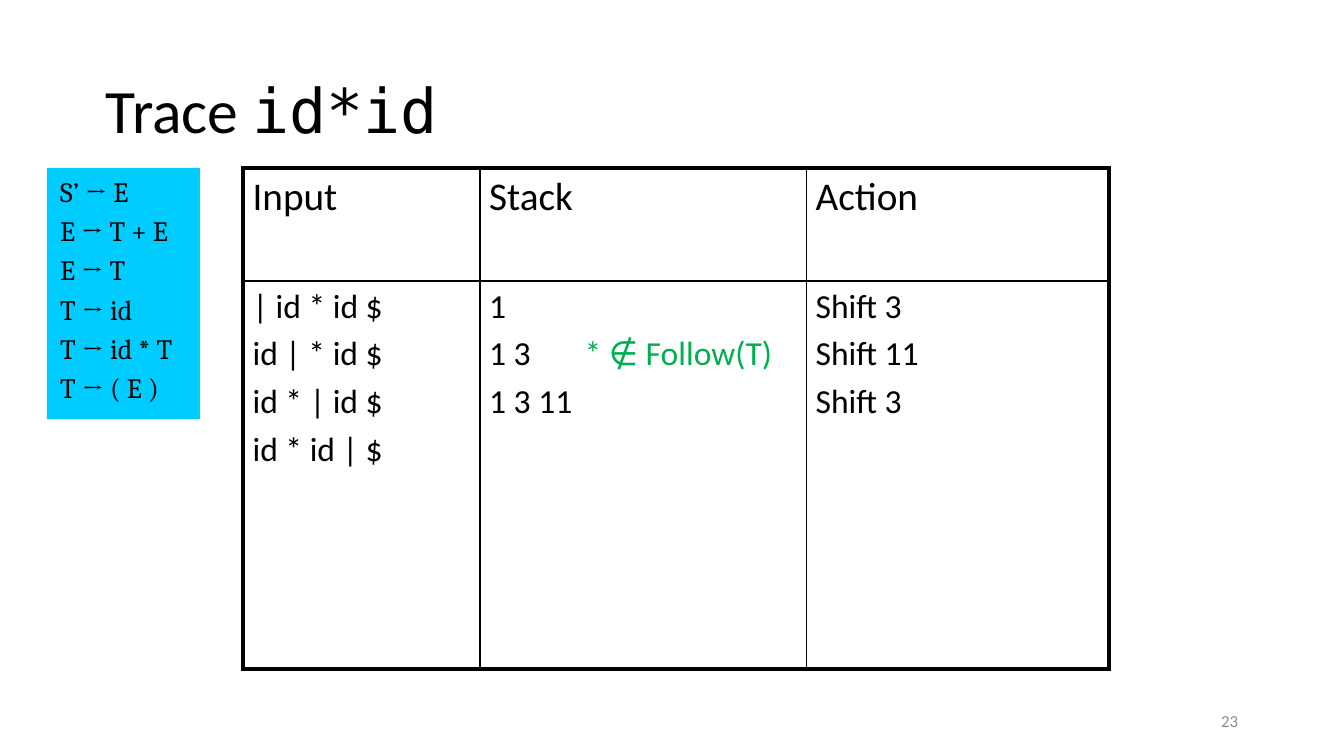
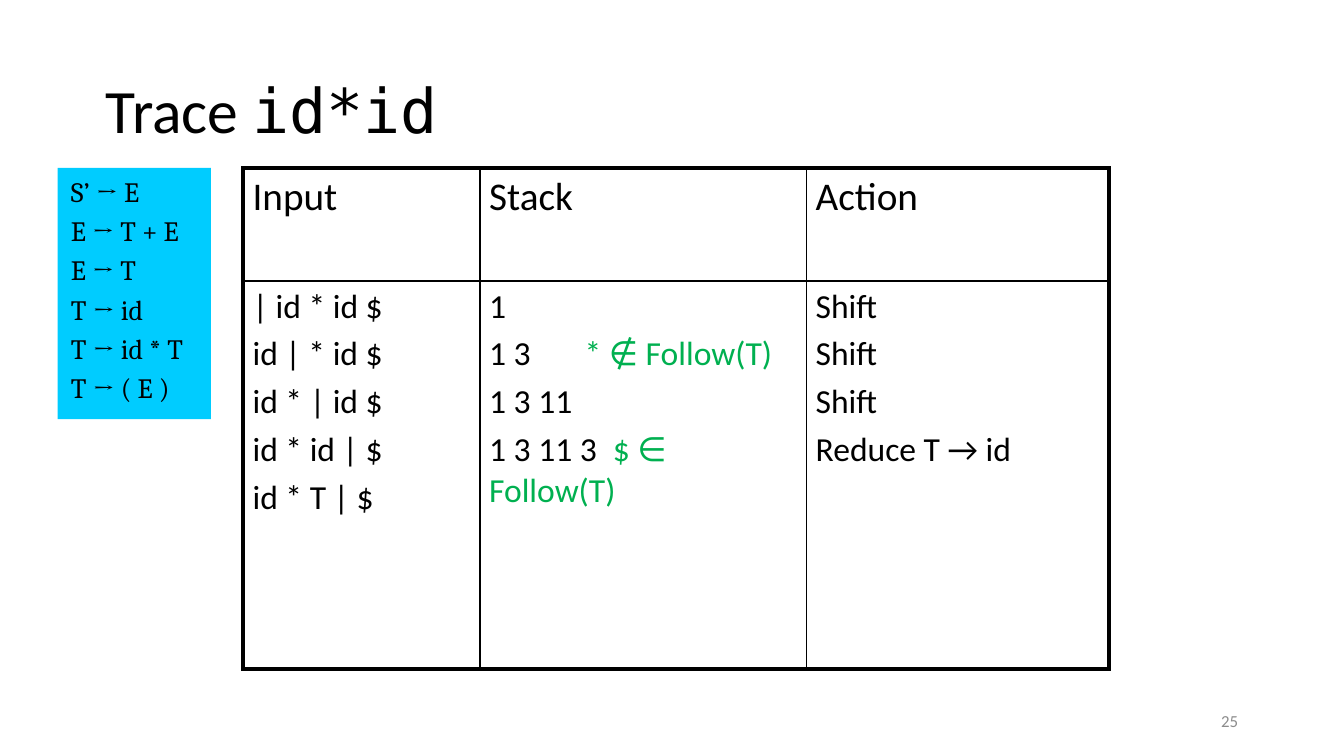
import pptx
import pptx.util
import pptx.dml.color
import pptx.enum.shapes
import pptx.enum.text
import pptx.oxml.ns
from lxml import etree

Inches = pptx.util.Inches
Pt = pptx.util.Pt
RGBColor = pptx.dml.color.RGBColor
MSO_ANCHOR = pptx.enum.text.MSO_ANCHOR
PP_ALIGN = pptx.enum.text.PP_ALIGN
qn = pptx.oxml.ns.qn

BLACK = RGBColor(0x00, 0x00, 0x00)
GREEN = RGBColor(0x00, 0xB0, 0x50)
GRAY = RGBColor(0x8C, 0x8C, 0x8C)
CYAN = RGBColor(0x00, 0xCC, 0xFF)
BODY_FONT = "Calibri"
GRAMMAR_FONT = "Cambria"
CODE_FONT = "DejaVu Sans Mono"

OUTER_LINE, INNER_LINE = 2.25, 1
COLUMN_WIDTHS = (1.76, 2.43, 2.25)
ROW_HEIGHTS = (0.84, 2.89)
NOTE_TABS = (0.71, 0.92)
HEADERS = ("Input", "Stack", "Action")
GRAMMAR = (("S’", "E"), ("E", "T + E"), ("E", "T"),
           ("T", "id"), ("T", "id * T"), ("T", "( E )"))

INPUTS = ["| id * id $", "id | * id $", "id * | id $", "id * id | $"]
STACKS = ["1", [("1 3", {}), ("\t* ∉ Follow(T)", {"color": GREEN})], "1 3 11"]
REDUCE_STACK = [("1 3 11 3", {}), ("\t$ ∈ Follow(T)", {"color": GREEN})]


def write_text(tf, lines, size, font=BODY_FONT, color=BLACK, align=PP_ALIGN.LEFT,
               spacing=None, gap=0.2, tabs=()):
    for i, line in enumerate(lines):
        p = tf.add_paragraph() if i else tf.paragraphs[0]
        runs = [(line, {})] if isinstance(line, str) else line
        if any("\t" in text for text, _ in runs):
            add_tabs(p, tabs)
        p.alignment = align
        if spacing:
            p.line_spacing = spacing
        if i:
            p.space_before = Pt(size * gap)
        for text, style in runs:
            r = p.add_run()
            r.text = text
            r.font.size = Pt(size)
            r.font.name = style.get("font", font)
            r.font.bold = style.get("bold", False)
            r.font.color.rgb = style.get("color", color)


def add_tabs(p, tabs):
    tab_list = etree.SubElement(p._p.get_or_add_pPr(), qn("a:tabLst"))
    for position in tabs:
        etree.SubElement(tab_list, qn("a:tab"), pos=str(Inches(position)), algn="l")


def add_text_box(slide, left, top, width, height, lines, **style):
    sp = slide.shapes.add_textbox(Inches(left), Inches(top), Inches(width), Inches(height))
    tf = sp.text_frame
    tf.word_wrap = True
    tf.vertical_anchor = MSO_ANCHOR.MIDDLE
    write_text(tf, lines, **style)


def add_grammar(slide, left):
    sp = slide.shapes.add_shape(pptx.enum.shapes.MSO_SHAPE.RECTANGLE,
                                Inches(left), Inches(1.25), Inches(1.14), Inches(1.87))
    sp.shadow.inherit = False
    sp.fill.solid()
    sp.fill.fore_color.rgb = CYAN
    sp.line.fill.background()
    tf = sp.text_frame
    tf.word_wrap = True
    tf.vertical_anchor = MSO_ANCHOR.TOP
    rules = [[(head, {}), (" → ", {"bold": True}), (body, {})] for head, body in GRAMMAR]
    write_text(tf, rules, size=15, font=GRAMMAR_FONT)


def set_borders(cell, widths):
    tc_pr = cell._tc.get_or_add_tcPr()
    for i, (side, width) in enumerate(widths.items()):
        ln = etree.Element(qn(f"a:ln{side}"), w=str(Pt(width)))
        fill = etree.SubElement(ln, qn("a:solidFill"))
        etree.SubElement(fill, qn("a:srgbClr"), val=str(BLACK))
        tc_pr.insert(i, ln)


def add_trace_table(slide, columns):
    rows = ([[header] for header in HEADERS], columns)
    table = slide.shapes.add_table(len(rows), len(HEADERS), Inches(1.81), Inches(1.25),
                                   Inches(sum(COLUMN_WIDTHS)), Inches(sum(ROW_HEIGHTS))).table
    table.first_row = False
    table.horz_banding = False
    for column, width in zip(table.columns, COLUMN_WIDTHS):
        column.width = Inches(width)
    last_row, last_col = len(rows) - 1, len(HEADERS) - 1
    for i, (row, size) in enumerate(zip(rows, (21, 18))):
        table.rows[i].height = Inches(ROW_HEIGHTS[i])
        for j, lines in enumerate(row):
            cell = table.cell(i, j)
            cell.margin_left = cell.margin_right = Inches(0.07)
            cell.margin_top = cell.margin_bottom = Inches(0.04)
            cell.fill.background()
            edges = {"L": j == 0, "R": j == last_col, "T": i == 0, "B": i == last_row}
            set_borders(cell, {side: OUTER_LINE if outer else INNER_LINE
                               for side, outer in edges.items()})
            write_text(cell.text_frame, lines, size=size, tabs=NOTE_TABS)


def add_trace_slide(prs, number, grammar_left, columns):
    slide = prs.slides.add_slide(prs.slide_layouts[6])
    add_text_box(slide, 0.69, 0.3, 8.62, 1.09,
                 [[("Trace ", {}), ("id*id", {"font": CODE_FONT})]], size=33, spacing=0.9)
    add_text_box(slide, 7.06, 5.21, 2.25, 0.3, [str(number)],
                 size=9, color=GRAY, align=PP_ALIGN.RIGHT)
    add_trace_table(slide, columns)
    add_grammar(slide, grammar_left)


def main():
    prs = pptx.Presentation()
    prs.slide_width = Inches(10)
    prs.slide_height = prs.slide_width * 9 // 16
    add_trace_slide(prs, 23, 0.35, [INPUTS, STACKS, ["Shift 3", "Shift 11", "Shift 3"]])
    add_trace_slide(prs, 25, 0.43, [INPUTS + ["id * T | $"], STACKS + [REDUCE_STACK],
                                    ["Shift"] * 3 + ["Reduce T → id"]])
    prs.save("out.pptx")


if __name__ == "__main__":
    main()
